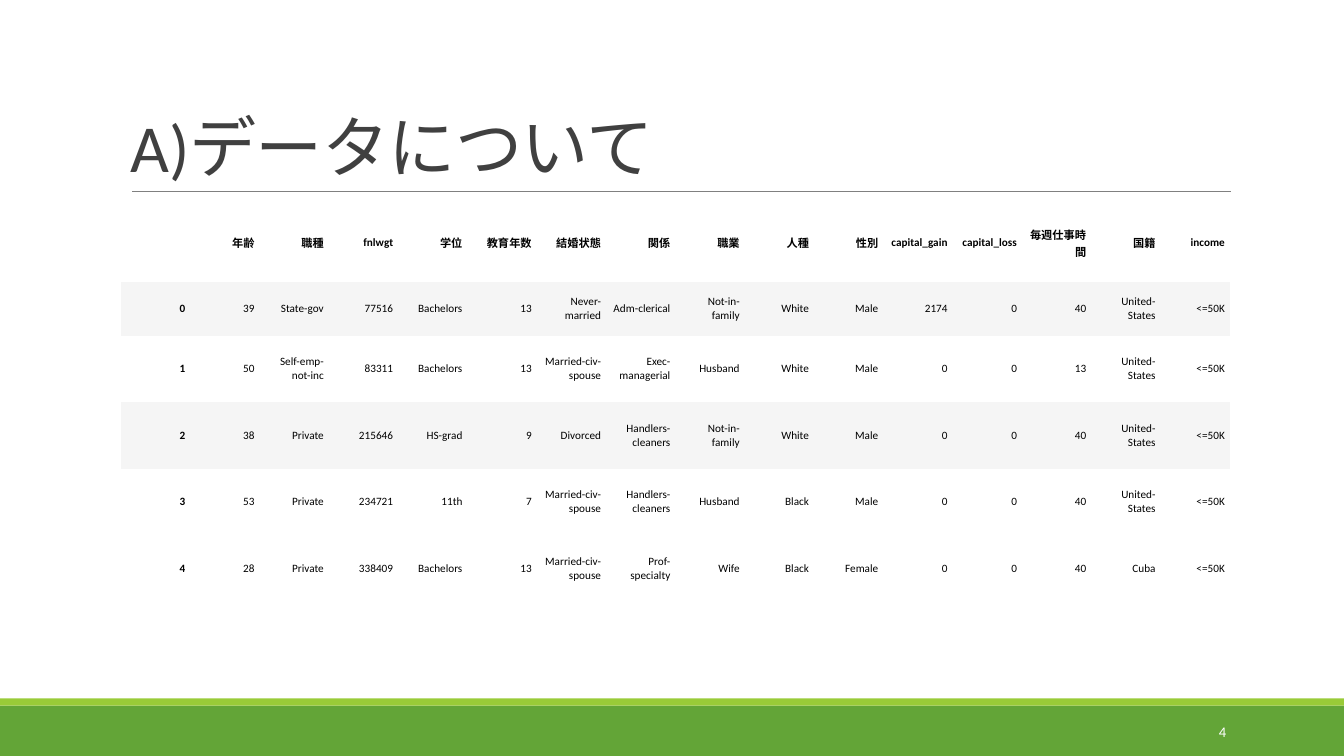
from dataclasses import dataclass

from lxml import etree
from pptx import Presentation
from pptx.dml.color import RGBColor
from pptx.enum.shapes import MSO_CONNECTOR, MSO_SHAPE
from pptx.enum.text import MSO_ANCHOR, PP_ALIGN
from pptx.oxml.ns import qn
from pptx.util import Inches, Pt

RECT = MSO_SHAPE.RECTANGLE
STRAIGHT = MSO_CONNECTOR.STRAIGHT
MIDDLE, BOTTOM = MSO_ANCHOR.MIDDLE, MSO_ANCHOR.BOTTOM
LEFT, RIGHT = PP_ALIGN.LEFT, PP_ALIGN.RIGHT
NO_GRID = "{2D5ABB26-0587-4C30-8999-92F81FD0307C}"


@dataclass(frozen=True)
class Theme:
    font: str = "Calibri"
    green: str = "63A537"
    lime: str = "99CB38"
    rule: str = "808080"
    ink: str = "404040"
    black: str = "000000"
    white: str = "FFFFFF"
    stripe: str = "F5F5F5"
    title: float = 48
    cell: float = 8
    page: float = 10.5


@dataclass(frozen=True)
class Box:
    left: float
    top: float
    width: float
    height: float

    def emu(self) -> tuple:
        return tuple(Inches(v) for v in (self.left, self.top, self.width, self.height))


@dataclass(frozen=True)
class Band:
    box: Box
    color: str


@dataclass(frozen=True)
class Label:
    text: str
    box: Box
    size: float
    color: str
    align: PP_ALIGN
    anchor: MSO_ANCHOR
    lead: float = 1.0
    track: int = 0  # hundredths of a point


THEME = Theme()
BANDS = [
    Band(Box(0, 7, 13.33, 0.5), THEME.green),
    Band(Box(0, 6.93, 13.33, 0.07), THEME.lime),
]
LABELS = [
    Label("A)データについて", Box(1.2, 0.31, 11, 1.59), THEME.title, THEME.ink,
          LEFT, BOTTOM, 0.85, -50),
    Label("4", Box(10.83, 7.06, 1.43, 0.4), THEME.page, THEME.white, RIGHT, MIDDLE),
]
GRID = Box(1.2, 2.02, 11, 3.94)
HEIGHTS = [0.78, 0.53] + [0.66] * 4
STRIPED = (1, 3)
ROWS = [
    ["", "年齢", "職種", "fnlwgt", "学位", "教育年数", "結婚状態", "関係", "職業", "人種",
     "性別", "capital_gain", "capital_loss", "毎週仕事時間", "国籍", "income"],
    ["0", "39", "State-gov", "77516", "Bachelors", "13", "Never-married",
     "Adm-clerical", "Not-in-family", "White", "Male", "2174", "0", "40",
     "United-States", "<=50K"],
    ["1", "50", "Self-emp-not-inc", "83311", "Bachelors", "13", "Married-civ-spouse",
     "Exec-managerial", "Husband", "White", "Male", "0", "0", "13",
     "United-States", "<=50K"],
    ["2", "38", "Private", "215646", "HS-grad", "9", "Divorced",
     "Handlers-cleaners", "Not-in-family", "White", "Male", "0", "0", "40",
     "United-States", "<=50K"],
    ["3", "53", "Private", "234721", "11th", "7", "Married-civ-spouse",
     "Handlers-cleaners", "Husband", "Black", "Male", "0", "0", "40",
     "United-States", "<=50K"],
    ["4", "28", "Private", "338409", "Bachelors", "13", "Married-civ-spouse",
     "Prof-specialty", "Wife", "Black", "Female", "0", "0", "40",
     "Cuba", "<=50K"],
]


def rgb(color: str) -> RGBColor:
    return RGBColor.from_string(color)


def add_run(para, text: str, size: float, color: str, bold: bool = False):
    run = para.add_run()
    run.text = text
    font = run.font
    font.name, font.size, font.bold = THEME.font, Pt(size), bold
    font.color.rgb = rgb(color)
    return run


def add_band(slide, band: Band) -> None:
    shape = slide.shapes.add_shape(RECT, *band.box.emu())
    shape.shadow.inherit = False
    shape.fill.solid()
    shape.fill.fore_color.rgb = rgb(band.color)
    shape.line.fill.background()


def add_rule(slide, left: float, right: float, top: float) -> None:
    ends = (Inches(v) for v in (left, top, right, top))
    line = slide.shapes.add_connector(STRAIGHT, *ends)
    line.line.color.rgb = rgb(THEME.rule)
    line.line.width = Pt(0.5)
    etree.SubElement(line._element.spPr, qn("a:effectLst"))


def add_label(slide, label: Label) -> None:
    frame = slide.shapes.add_textbox(*label.box.emu()).text_frame
    frame.word_wrap = True
    frame.vertical_anchor = label.anchor
    para = frame.paragraphs[0]
    para.alignment, para.line_spacing = label.align, label.lead
    run = add_run(para, label.text, label.size, label.color)
    if label.track:
        run.font._element.set("spc", str(label.track))


def fill_cell(cell, text: str, bold: bool, striped: bool) -> None:
    cell.margin_left = cell.margin_right = Inches(0.05)
    cell.margin_top = cell.margin_bottom = Inches(0.02)
    cell.vertical_anchor = MIDDLE
    if striped:
        cell.fill.solid()
        cell.fill.fore_color.rgb = rgb(THEME.stripe)
    else:
        cell.fill.background()
    if text:
        para = cell.text_frame.paragraphs[0]
        para.alignment = RIGHT
        add_run(para, text, THEME.cell, THEME.black, bold)


def add_grid(slide) -> None:
    count = len(ROWS[0])
    frame = slide.shapes.add_table(len(ROWS), count, *GRID.emu())
    table = frame.table
    table.first_row = table.horz_banding = False
    table._tbl.tblPr.find(qn("a:tableStyleId")).text = NO_GRID
    for col in table.columns:
        col.width = Inches(GRID.width / count)
    for r, (height, row) in enumerate(zip(HEIGHTS, ROWS)):
        table.rows[r].height = Inches(height)
        for c, text in enumerate(row):
            fill_cell(table.cell(r, c), text, r == 0 or c == 0, r in STRIPED)


def main() -> None:
    deck = Presentation()
    deck.slide_width, deck.slide_height = Inches(13.33), Inches(7.5)
    slide = deck.slides.add_slide(deck.slide_layouts[6])

    # Footer bands and title rule
    for band in BANDS:
        add_band(slide, band)
    add_rule(slide, 1.31, 12.21, 1.9)

    # Data sample
    add_grid(slide)

    # Title and page number
    for label in LABELS:
        add_label(slide, label)

    deck.save("out.pptx")


main()
